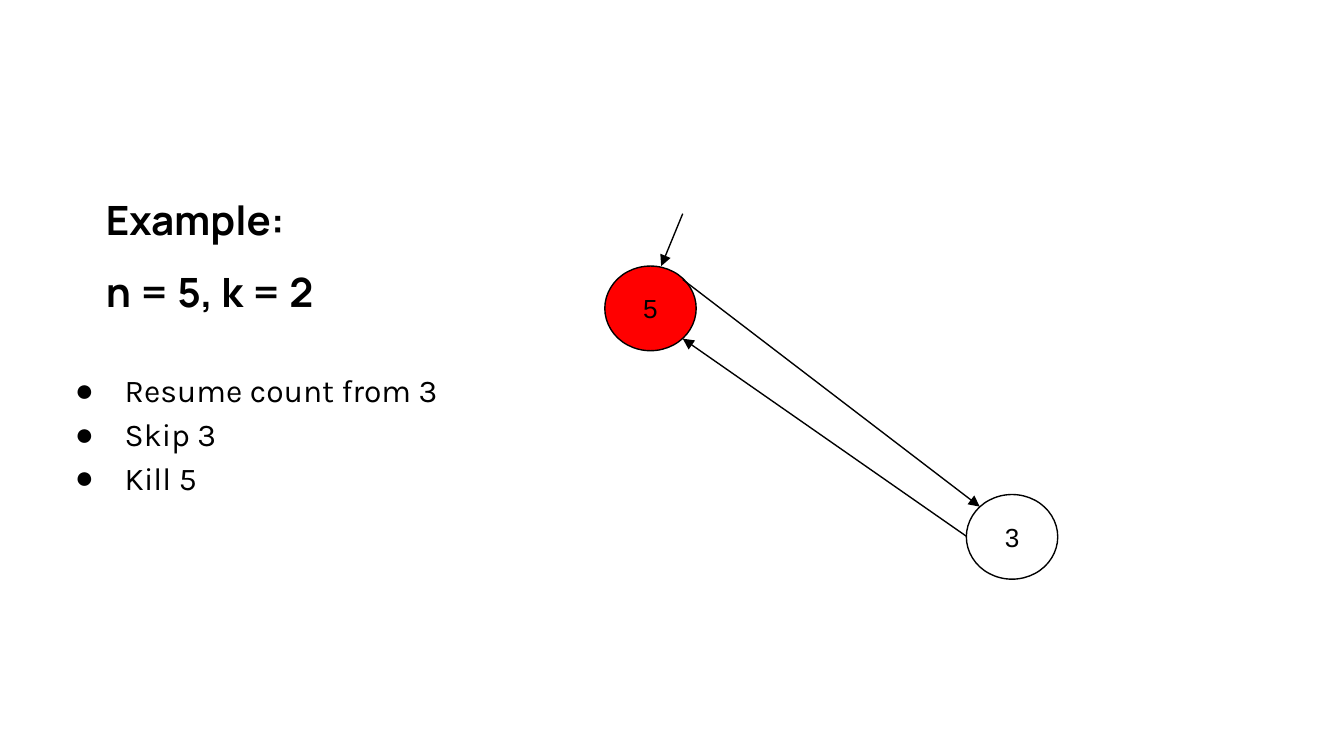
import pptx
import pptx.dml.color
import pptx.enum.shapes
import pptx.enum.text
import pptx.oxml
import pptx.oxml.ns
import pptx.util
from pptx.util import Inches

BLACK = pptx.dml.color.RGBColor(0, 0, 0)
RED = pptx.dml.color.RGBColor(255, 0, 0)

# Content
HEADING = ["Example:", "n = 5, k = 2"]
STEPS = ["Resume count from 3", "Skip 3", "Kill 5"]
NODES = [("5", 4.5, 1.98, RED), ("3", 7.19, 3.68, None)]
NODE_SIZE = (0.68, 0.63)
ARROWS = [
    ((7.19, 3.99), (5.08, 2.52)),
    ((5.08, 2.08), (7.29, 3.77)),
    ((5.08, 1.59), (4.92, 1.98)),
]

# Formats
HEADING_FONT = {"name": "Manrope", "size": pptx.util.Pt(21.6), "bold": True}
STEP_FONT = {"name": "Karla", "size": pptx.util.Pt(17)}
NODE_FONT = {"name": "Arial", "size": pptx.util.Pt(14)}
FRAME = {"word_wrap": True} | {
    f"margin_{side}": Inches(0.1) for side in ("left", "right", "top", "bottom")
}


def set_all(target, values):
    for name, value in values.items():
        setattr(target, name, value)


def write(shape, lines, font, anchor):
    frame = shape.text_frame
    set_all(frame, FRAME | {"vertical_anchor": anchor})
    frame.text = "\n".join(lines)
    for paragraph in frame.paragraphs:
        for span in paragraph.runs:
            set_all(span.font, font)
            span.font.color.rgb = BLACK
    return frame.paragraphs


def add_xml(parent, tag, **attributes):
    element = pptx.oxml.parse_xml(f"<a:{tag} {pptx.oxml.ns.nsdecls('a')}/>")
    for name, value in attributes.items():
        element.set(name, value)
    parent.append(element)
    return element


def set_line(line):
    line.color.rgb = BLACK
    line.width = pptx.util.Pt(0.75)


# Widescreen page, 16 by 9
deck = pptx.Presentation()
deck.slide_width = Inches(10)
deck.slide_height = deck.slide_width * 9 // 16
page = deck.slides.add_slide(deck.slide_layouts[6])
anchors = pptx.enum.text.MSO_ANCHOR

# Heading
box = page.shapes.add_textbox(*map(Inches, (0.69, 1.38, 3.07, 1.07)))
paragraphs = write(box, HEADING, HEADING_FONT, anchors.BOTTOM)
paragraphs[1].space_before = pptx.util.Pt(13)

# Bulleted steps
box = page.shapes.add_textbox(*map(Inches, (0.33, 2.62, 3.07, 2.38)))
for paragraph in write(box, STEPS, STEP_FONT, anchors.TOP):
    paragraph.line_spacing = 1.15
    properties = paragraph._p.get_or_add_pPr()
    properties.set("marL", str(Inches(0.5)))
    properties.set("indent", str(Inches(-0.37)))
    add_xml(add_xml(properties, "buClr"), "srgbClr", val=str(BLACK))
    add_xml(properties, "buFont", typeface="Arial")
    add_xml(properties, "buChar", char="●")

# Nodes of the circle
for label, left, top, fill in NODES:
    node = page.shapes.add_shape(
        pptx.enum.shapes.MSO_SHAPE.OVAL, *map(Inches, (left, top, *NODE_SIZE))
    )
    node.shadow.inherit = False
    if fill is None:
        node.fill.background()
    else:
        node.fill.solid()
        node.fill.fore_color.rgb = fill
    set_line(node.line)
    for paragraph in write(node, [label], NODE_FONT, anchors.MIDDLE):
        paragraph.alignment = pptx.enum.text.PP_ALIGN.CENTER

# Arrows between nodes
for start, end in ARROWS:
    arrow = page.shapes.add_connector(
        pptx.enum.shapes.MSO_CONNECTOR.STRAIGHT, *map(Inches, start + end)
    )
    set_line(arrow.line)
    add_xml(arrow.line._get_or_add_ln(), "tailEnd", type="triangle")
    add_xml(arrow._element.spPr, "effectLst")

deck.save("out.pptx")
